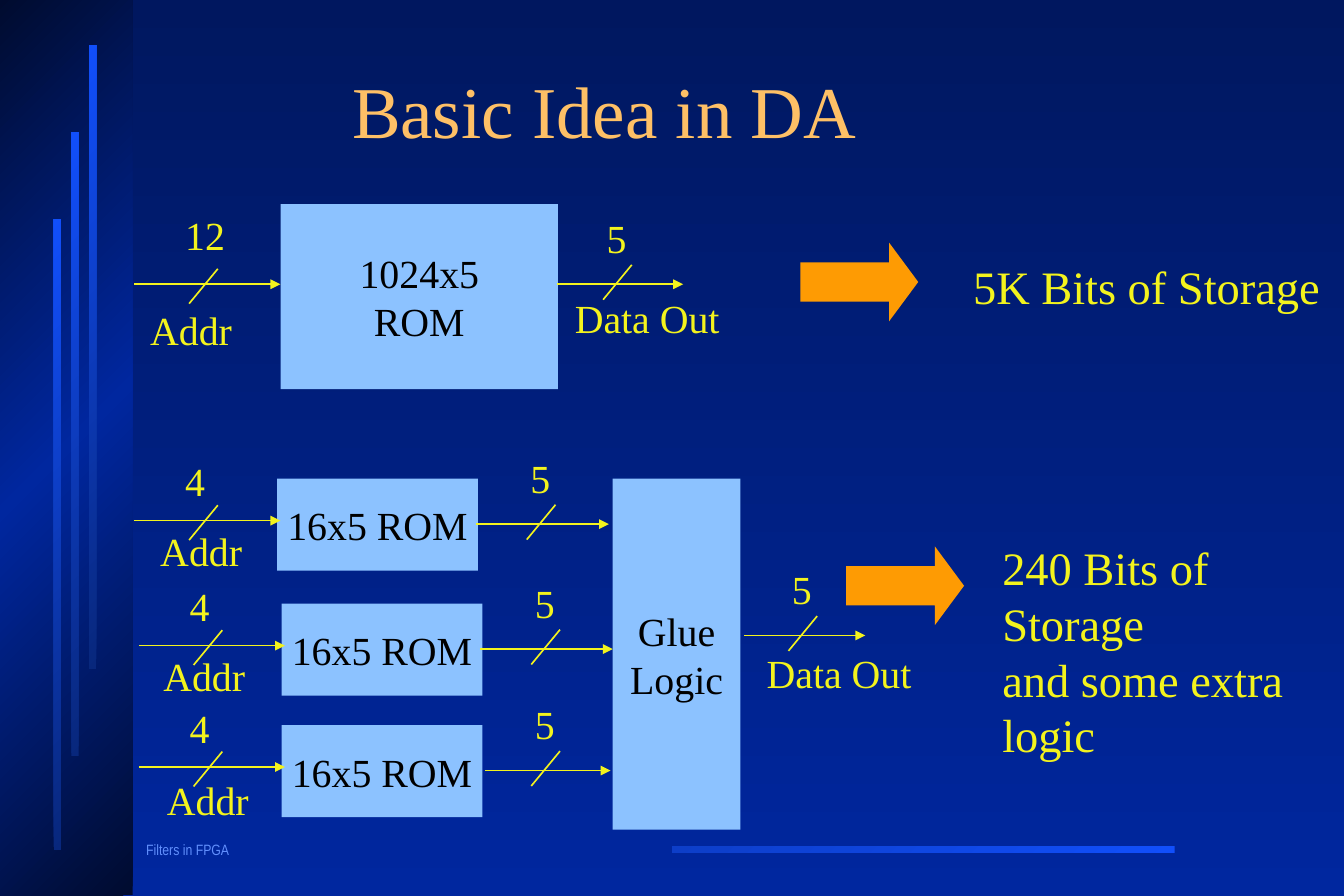
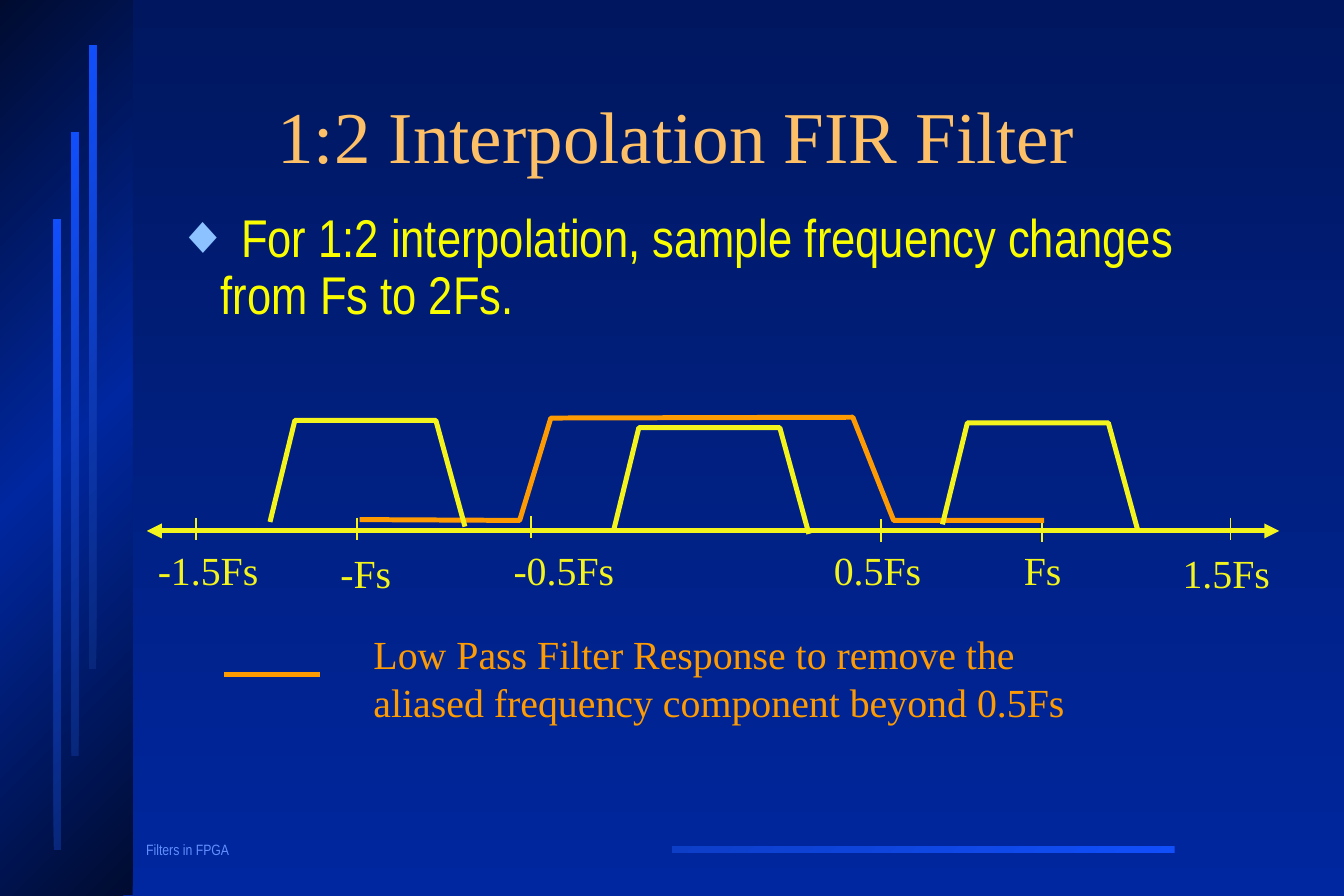
"""Build two slides on distributed arithmetic and interpolation filters."""
from copy import deepcopy

from pptx import Presentation
from pptx.dml.color import RGBColor
from pptx.enum.shapes import MSO_CONNECTOR as Connector, MSO_SHAPE as Preset
from pptx.enum.text import MSO_ANCHOR as Anchor, PP_ALIGN as Align
from pptx.oxml.ns import qn
from pptx.oxml.xmlchemy import OxmlElement
from pptx.util import Pt

NAVY = RGBColor(0x00, 0x17, 0x5F)
ROYAL = RGBColor(0x00, 0x27, 0x9F)
MIDNIGHT = RGBColor(0x00, 0x0B, 0x2F)
BRIGHT = RGBColor(0x11, 0x4F, 0xFB)
COBALT = RGBColor(0x0D, 0x3E, 0xC8)
DEEP = RGBColor(0x08, 0x27, 0x7C)
FOOTER = RGBColor(0x61, 0x8F, 0xFD)
PEACH = RGBColor(0xFE, 0xC0, 0x66)
SKY = RGBColor(0x8C, 0xC2, 0xFF)
YELLOW = RGBColor(0xF3, 0xF3, 0x1D)
LEMON = RGBColor(0xFA, 0xFD, 0x00)
ORANGE = RGBColor(0xFE, 0x9B, 0x03)
BLACK = RGBColor(0x00, 0x00, 0x00)
SERIF = "Times New Roman"
NARROW = "Arial Narrow"
DIAGONAL = 135


def set_gradient(fill, first, last, angle):
    """Fill with a linear gradient between two colours."""
    fill.gradient()
    fill.gradient_angle = angle
    for stop, colour, position in zip(fill.gradient_stops, (first, last), (0, 1)):
        stop.color.rgb = colour
        stop.position = position


def write_lines(frame, lines, size, colour, font=SERIF, align=Align.LEFT, spacing=None):
    """Write one paragraph with one run for each line."""
    for index, line in enumerate(lines):
        paragraph = frame.add_paragraph() if index else frame.paragraphs[0]
        paragraph.alignment = align
        if spacing:
            paragraph.line_spacing = spacing
        run = paragraph.add_run()
        run.text = line
        run.font.size = Pt(size)
        run.font.name = font
        run.font.color.rgb = colour


def add_text(slide, left, top, width, height, lines, size=24, colour=YELLOW,
             anchor=Anchor.TOP, **style):
    """Add a wrapping text box and return its frame."""
    frame = slide.shapes.add_textbox(Pt(left), Pt(top), Pt(width), Pt(height)).text_frame
    frame.word_wrap = True
    frame.vertical_anchor = anchor
    write_lines(frame, lines, size, colour, **style)
    return frame


def add_preset(slide, preset, left, top, width, height):
    """Add a preset shape with neither shadow nor outline."""
    shape = slide.shapes.add_shape(preset, Pt(left), Pt(top), Pt(width), Pt(height))
    shape.shadow.inherit = False
    shape.line.fill.background()
    return shape


def add_gradient_bar(slide, left, top, width, height, first, last):
    """Add a rectangle with a diagonal gradient."""
    bar = add_preset(slide, Preset.RECTANGLE, left, top, width, height)
    set_gradient(bar.fill, first, last, DIAGONAL)
    return bar


def add_block(slide, left, top, width, height, lines):
    """Add a light blue block with centred text."""
    block = add_preset(slide, Preset.RECTANGLE, left, top, width, height)
    block.fill.solid()
    block.fill.fore_color.rgb = SKY
    block.text_frame.word_wrap = False
    block.text_frame.vertical_anchor = Anchor.MIDDLE
    write_lines(block.text_frame, lines, 24, BLACK, align=Align.CENTER)


def add_block_arrow(slide, left, top):
    """Add an orange arrow that leads to a result."""
    arrow = add_preset(slide, Preset.RIGHT_ARROW, left, top, 71, 47.5)
    arrow.adjustments[0] = 0.5
    arrow.adjustments[1] = 0.37
    arrow.fill.solid()
    arrow.fill.fore_color.rgb = ORANGE


def add_line(slide, start, end, colour=YELLOW, width=1, ends=()):
    """Add a straight line with triangles at the named ends."""
    line = slide.shapes.add_connector(
        Connector.STRAIGHT, Pt(start[0]), Pt(start[1]), Pt(end[0]), Pt(end[1]))
    line.line.color.rgb = colour
    line.line.width = Pt(width)
    outline = line._element.spPr.find(qn("a:ln"))
    for name in ends:
        head = OxmlElement(f"a:{name}")
        head.set("type", "triangle")
        outline.append(head)
    line._element.spPr.append(OxmlElement("a:effectLst"))


def add_outline(slide, points, colour):
    """Add an open outline through the points."""
    (first_x, first_y), *others = [(Pt(x), Pt(y)) for x, y in points]
    builder = slide.shapes.build_freeform(first_x, first_y)
    builder.add_line_segments(others, close=False)
    outline = builder.convert_to_shape()
    outline.shadow.inherit = False
    outline.fill.background()
    outline.line.color.rgb = colour
    outline.line.width = Pt(3)


def add_bus(slide, left, right, y, slash, drop, count, count_left, count_top):
    """Add a bus arrow with its slash and its bit count."""
    add_line(slide, (left, y), (right, y), ends=["tailEnd"])
    add_line(slide, (slash + 17.3, y + drop - 10.5), (slash, y + drop + 10.5))
    add_text(slide, count_left, count_top, 12 * len(count) + 20, 36, [count])


def add_input_bus(slide, block_left, y, count, rise):
    """Add the address bus that enters a block."""
    add_bus(slide, block_left - 86, block_left + 2, y, block_left - 53, 1.2,
            count, block_left - 62.5, y - rise)


def add_output_bus(slide, left, right, y, slash):
    """Add a five-bit bus that leaves a block."""
    add_bus(slide, left, right, y, slash, -1.2, "5", slash - 5, y - 46)


def add_small_rom(slide, left, top, output_left, output_right, label_left, label_top):
    """Add a small ROM with its buses and address label."""
    add_block(slide, left, top, 121, 55.5, ["16x5 ROM"])
    add_input_bus(slide, left, top + 25.3, "4", 42)
    add_output_bus(slide, output_left, output_right, top + 27.4, left + 150.5)
    add_text(slide, label_left, label_top, 70, 36, ["Addr"])


def add_slide(presentation, title, left, top, width, height):
    """Add a slide with the shared band, bars, footer and title."""
    slide = presentation.slides.add_slide(presentation.slide_layouts[6])
    add_text(slide, 81, 504, 108, 16.5, ["Filters in FPGA"], 9, FOOTER,
             font=NARROW, spacing=0.9)
    add_gradient_bar(slide, 405, 510, 303, 4, BRIGHT, COBALT)
    band = add_gradient_bar(slide, 0, 0, 80, 539.5, MIDNIGHT, MIDNIGHT)
    stops = band._element.spPr.find(qn("a:gradFill")).find(qn("a:gsLst"))
    stops.insert(1, deepcopy(stops[0]))
    middle = band.fill.gradient_stops[1]
    middle.position = 0.5
    middle.color.rgb = ROYAL
    for index, bar_height in enumerate((380, 376, 376)):
        add_gradient_bar(slide, 32.4 + 10.7 * index, 132.3 - 52.5 * index,
                         4.3, bar_height, DEEP, BRIGHT)
    add_text(slide, left, top, width, height, [title], 44, PEACH,
             anchor=Anchor.MIDDLE, align=Align.CENTER, spacing=0.85)
    return slide


def build_memory_slide(presentation):
    """Compare one large ROM with three small ones."""
    slide = add_slide(presentation, "Basic Idea in DA", 81.4, 25, 566, 90)
    add_block(slide, 169.2, 123, 167, 111.5, ["1024x5", "ROM"])
    add_input_bus(slide, 167, 171.3, "12", 48)
    add_output_bus(slide, 335.8, 411.7, 171.3, 363.5)
    add_text(slide, 83.4, 181, 70, 36, ["Addr"])
    add_text(slide, 339.3, 173.3, 110, 36, ["Data Out"])
    add_block_arrow(slide, 482.4, 146.2)
    add_text(slide, 579.4, 152, 230, 41, ["5K Bits of Storage"], 28)
    for rom in (
        (167, 288.5, 286.7, 367, 89.5, 314),
        (169.7, 363.8, 289.3, 369.3, 91.3, 389),
        (169.7, 437, 292.3, 368, 93.5, 464),
    ):
        add_small_rom(slide, *rom)
    add_block(slide, 369.3, 288.5, 77, 211.5, ["Glue", "Logic"])
    add_output_bus(slide, 448.5, 521.5, 383, 475.2)
    add_text(slide, 455, 387.3, 110, 36, ["Data Out"])
    add_block_arrow(slide, 510, 329.3)
    add_text(slide, 597, 321.3, 200, 142,
             ["240 Bits of", "Storage", "and some extra", "logic"], 28)


def build_filter_slide(presentation):
    """Show the spectrum and the low pass response."""
    slide = add_slide(presentation, "1:2 Interpolation FIR Filter", 83.5, 23, 648, 124)
    body = add_text(
        slide, 99, 124, 627.5, 348.5,
        [" For 1:2 interpolation, sample frequency changes from Fs to 2Fs."],
        32, LEMON, font=NARROW, spacing=0.9)
    properties = body.paragraphs[0]._p.get_or_add_pPr()
    properties.set("marL", str(Pt(27)))
    properties.set("indent", str(-Pt(27)))
    bullet_colour = OxmlElement("a:buClr")
    colour = OxmlElement("a:srgbClr")
    colour.set("val", str(SKY))
    bullet_colour.append(colour)
    bullet_font = OxmlElement("a:buFont")
    bullet_font.set("typeface", SERIF)
    bullet = OxmlElement("a:buChar")
    bullet.set("char", "◆")
    properties.extend([bullet_colour, bullet_font, bullet])

    add_line(slide, (88.5, 320), (771, 320), width=3, ends=["headEnd", "tailEnd"])
    for tick, tick_top, label, label_left, label_top in (
        (118, 312, "-1.5Fs", 88, 325.5),
        (215.3, 312, "-Fs", 198, 327),
        (320, 311, "-0.5Fs", 302.4, 325.5),
        (531, 313, "0.5Fs", 495.4, 325.5),
        (628, 313, "Fs", 610, 325.5),
        (741.6, 312, "1.5Fs", 705.6, 327),
    ):
        add_line(slide, (tick, tick_top), (tick, tick_top + 13.5))
        add_text(slide, label_left, label_top, 90, 36, [label])
    add_outline(slide, [(216.7, 313.2), (313.2, 313.7), (332, 252), (514, 251.5),
                        (538.6, 313.7), (629.3, 313.7)], ORANGE)
    for left, top in ((162.7, 253.4), (370, 257.8), (568, 254.9)):
        add_outline(slide, [(left, top + 61.2), (left + 15, top),
                            (left + 100, top), (left + 117.5, top + 64)], YELLOW)
    add_line(slide, (135.3, 406.8), (193, 406.8), ORANGE, 3)
    add_text(slide, 218, 376, 449.3, 65,
             ["Low Pass Filter Response to remove the aliased frequency "
              "component beyond 0.5Fs"], 24, ORANGE)


def main():
    """Build and save the presentation."""
    presentation = Presentation()
    presentation.slide_width = Pt(810)
    presentation.slide_height = Pt(540)
    set_gradient(presentation.slide_master.background.fill, NAVY, ROYAL, 270)
    build_memory_slide(presentation)
    build_filter_slide(presentation)
    presentation.save("out.pptx")


if __name__ == "__main__":
    main()
